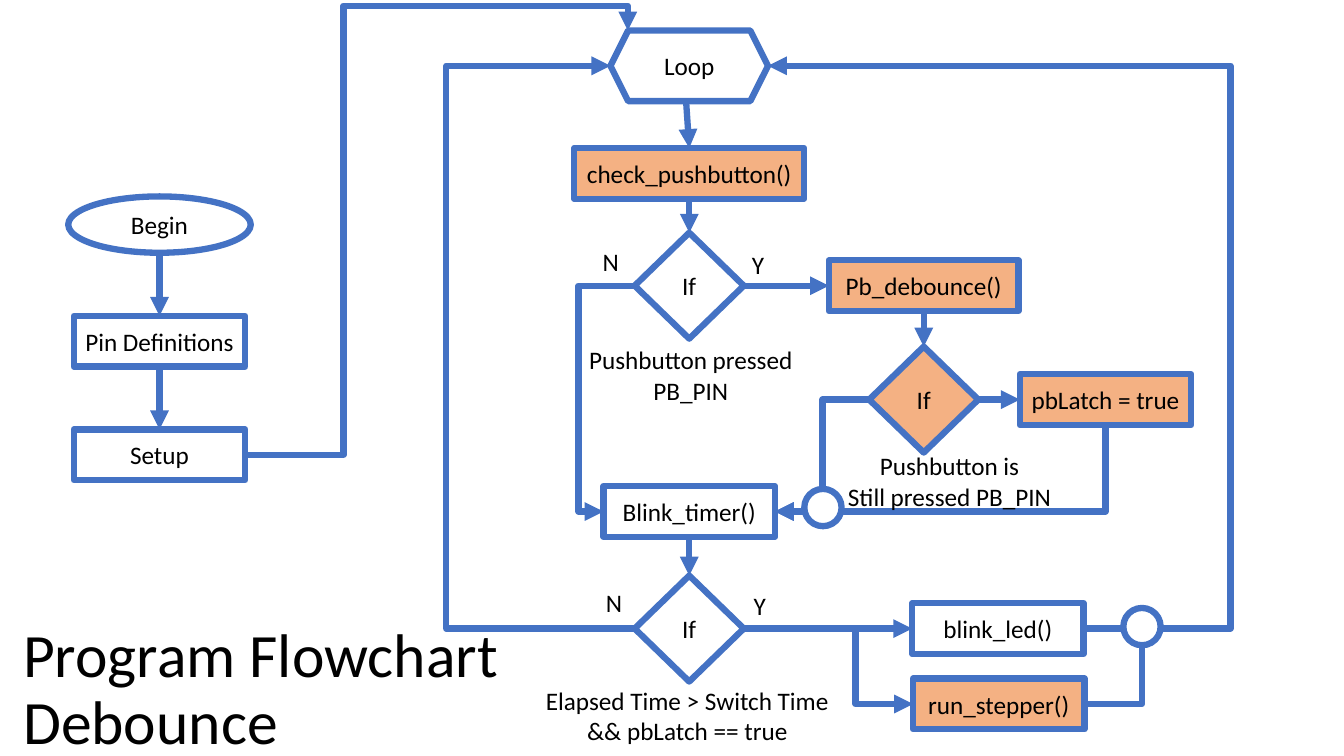
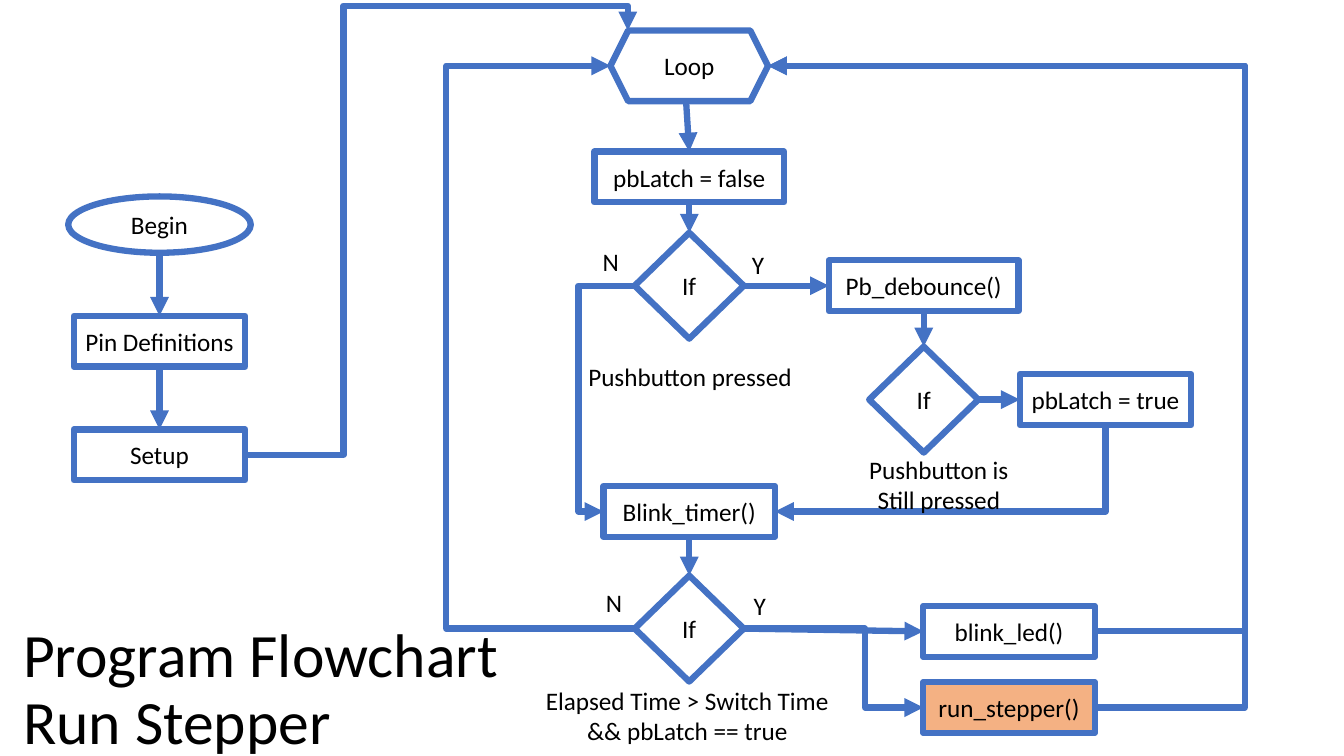
from lxml import etree
from pptx import Presentation
from pptx.dml.color import RGBColor
from pptx.enum.shapes import MSO_CONNECTOR, MSO_SHAPE
from pptx.enum.text import MSO_ANCHOR, MSO_AUTO_SIZE, PP_ALIGN
from pptx.oxml.ns import qn
from pptx.util import Cm, Pt

STRAIGHT, ELBOW = MSO_CONNECTOR.STRAIGHT, MSO_CONNECTOR.ELBOW
LEFT, CENTER = PP_ALIGN.LEFT, PP_ALIGN.CENTER
MIDDLE, TOP = MSO_ANCHOR.MIDDLE, MSO_ANCHOR.TOP
NO_FIT = MSO_AUTO_SIZE.NONE

COLORS = {"line": "4472C4", "plain": "FFFFFF", "new": "F4B183", "text": "000000"}
FONT = "Calibri"
LINE_WIDTH = Pt(4.5)
TITLE_BOX = (0.33, 15.34, 13.21, 4.14)

FOUR_SITES = {"top": (0.5, 0, 0), "left": (0, 0.5, 1),
              "bottom": (0.5, 1, 2), "right": (1, 0.5, 3)}
ROUND_SITES = {"top": (0.5, 0, 0), "left": (0, 0.5, 2),
               "bottom": (0.5, 1, 4), "right": (1, 0.5, 6)}
LOOP_SITES = {"right": (1, 0.5, 0), "left": (0, 0.5, 3),
              "corner": (0.11, 0, 4), "bottom": (0.48, 1, None)}

KINDS = {
    "start": (MSO_SHAPE.OVAL, 4.6, 1.42, ROUND_SITES),
    "loop": (MSO_SHAPE.HEXAGON, 3.97, 1.78, LOOP_SITES),
    "step": (MSO_SHAPE.RECTANGLE, 4.32, 1.28, FOUR_SITES),
    "wide": (MSO_SHAPE.RECTANGLE, 4.78, 1.28, FOUR_SITES),
    "widest": (MSO_SHAPE.RECTANGLE, 5.79, 1.28, FOUR_SITES),
    "decision": (MSO_SHAPE.DIAMOND, 2.75, 2.67, FOUR_SITES),
    "join": (MSO_SHAPE.OVAL, 0.94, 0.94, ROUND_SITES),
}

SETUP_X, MAIN_X, DEBOUNCE_X, LATCH_X = 4.02, 17.37, 23.28, 27.86

SHARED_NODES = {
    "begin": ("start", "Begin", SETUP_X, 5.66),
    "pins": ("step", "Pin Definitions", SETUP_X, 8.6),
    "setup": ("step", "Setup", SETUP_X, 11.46),
    "loop": ("loop", "Loop", MAIN_X, 1.66),
    "pressed": ("decision", "If", MAIN_X, 7.2),
    "debounce": ("wide", "Pb_debounce()", DEBOUNCE_X, 7.2),
    "held": ("decision", "If", DEBOUNCE_X, 10.07),
    "latch": ("step", "pbLatch = true", LATCH_X, 10.07),
    "timer": ("step", "Blink_timer()", MAIN_X, 12.89),
    "elapsed": ("decision", "If", MAIN_X, 15.84),
}

SHARED_LINKS = [
    ("begin", "bottom", "pins", "top", None, "tailEnd"),
    ("pins", "bottom", "setup", "top", None, "tailEnd"),
    ("setup", "right", "loop", "corner", (8.66, 0.15), "tailEnd"),
    ("loop", "bottom", "check", "top", None, "tailEnd"),
    ("check", "bottom", "pressed", "top", None, "tailEnd"),
    ("pressed", "right", "debounce", "left", None, "tailEnd"),
    ("pressed", "left", "timer", "left", (14.58,), "tailEnd"),
    ("debounce", "bottom", "held", "top", None, "tailEnd"),
    ("held", "right", "latch", "left", None, "tailEnd"),
    ("timer", "right", "latch", "bottom", (), "headEnd"),
    ("timer", "bottom", "elapsed", "top", None, "tailEnd"),
    ("elapsed", "left", "loop", "left", (11.25,), "tailEnd"),
    ("elapsed", "right", "led", "left", None, "tailEnd"),
]

SHARED_LABELS = [
    (["N"], 15.39, 6.07, 0.9),
    (["Y"], 19.1, 6.15, 0.9),
    (["N"], 15.47, 14.68, 0.9),
    (["Y"], 19.15, 14.76, 0.9),
    (["Elapsed Time > Switch Time", "&& pbLatch == true"], 17.32, 17.15, 7.72),
]

FLOWCHARTS = [
    {
        "title": ["Program Flowchart", "Debounce"],
        "new": {"check", "debounce", "held", "latch", "stepper"},
        "nodes": {
            "check": ("widest", "check_pushbutton()", MAIN_X, 4.37),
            "led": ("step", "blink_led()", 25.15, 15.84),
            "stepper": ("step", "run_stepper()", 25.17, 17.74),
            "timer join": ("join", "", 20.74, 12.79),
            "led join": ("join", "", 28.78, 15.79),
        },
        "links": [
            ("led", "right", "loop", "right", (31.01,), "tailEnd"),
            ("held", "left", "timer", "right", (20.73,), "tailEnd"),
            ("elapsed", "right", "stepper", "left", (21.56,), "tailEnd"),
            ("stepper", "right", "led join", "bottom", (), None),
        ],
        "labels": [
            (["Pushbutton pressed", "PB_PIN"], 17.41, 8.56, 5.71),
            (["Pushbutton is", "Still pressed PB_PIN"], 23.93, 11.23, 5.7),
        ],
    },
    {
        "title": ["Program Flowchart", "Run Stepper"],
        "new": {"stepper"},
        "nodes": {
            "check": ("wide", "pbLatch = false", MAIN_X, 4.46),
            "led": ("step", "blink_led()", 25.43, 15.91),
            "stepper": ("step", "run_stepper()", 25.43, 17.83),
        },
        "links": [
            ("led", "right", "loop", "right", (31.37,), "tailEnd"),
            ("stepper", "right", "loop", "right", (31.37,), "tailEnd"),
            ("elapsed", "right", "stepper", "left", (21.8,), "tailEnd"),
        ],
        "labels": [
            (["Pushbutton pressed"], 17.39, 8.99, 5.71),
            (["Pushbutton is", "Still pressed"], 23.66, 11.33, 4.09),
        ],
    },
]


def rgb(name):
    return RGBColor.from_string(COLORS[name])


def apply(target, values):
    for name, value in values.items():
        setattr(target, name, value)


def style_line(line):
    line.color.rgb = rgb("line")
    line.width = LINE_WIDTH


def style_paragraph(paragraph, size, **values):
    apply(paragraph, values)
    apply(paragraph.font, {"name": FONT, "size": Pt(size)})
    paragraph.font.color.rgb = rgb("text")


def add_title(slide, lines):
    title = slide.shapes.title
    apply(title, dict(zip(("left", "top", "width", "height"), map(Cm, TITLE_BOX))))
    apply(title.text_frame, {"word_wrap": True, "auto_size": NO_FIT,
                             "vertical_anchor": MIDDLE})
    paragraph = title.text_frame.paragraphs[0]
    for index, line in enumerate(lines):
        if index:
            paragraph.add_line_break()
        paragraph.add_run().text = line
    style_paragraph(paragraph, 44, alignment=LEFT, line_spacing=0.9)


def add_node(slide, node, color):
    kind, text, center_x, center_y = node
    outline, width, height, _ = KINDS[kind]
    shape = slide.shapes.add_shape(
        outline, Cm(center_x - width / 2), Cm(center_y - height / 2),
        Cm(width), Cm(height))
    shape.shadow.inherit = False
    shape.fill.solid()
    shape.fill.fore_color.rgb = rgb(color)
    style_line(shape.line)
    if text:
        frame = shape.text_frame
        apply(frame, {"margin_left": 0, "margin_right": 0, "word_wrap": True,
                      "vertical_anchor": MIDDLE})
        frame.text = text
        style_paragraph(frame.paragraphs[0], 18, alignment=CENTER)
    return shape


def site_of(node, side):
    kind, _, center_x, center_y = node
    _, width, height, sites = KINDS[kind]
    across, down, index = sites[side]
    return center_x + (across - 0.5) * width, center_y + (down - 0.5) * height, index


def bend(geometry, start, end, turns):
    geometry.set("prst", f"bentConnector{len(turns) + 2}")
    guides = geometry.find(qn("a:avLst"))
    for axis, turn in enumerate(turns):
        share = (turn - start[axis]) / (end[axis] - start[axis])
        etree.SubElement(guides, qn("a:gd"), name=f"adj{axis + 1}",
                         fmla=f"val {round(share * 100000)}")


def add_link(slide, nodes, shapes, link):
    source, source_side, target, target_side, turns, arrow = link
    start = site_of(nodes[source], source_side)
    end = site_of(nodes[target], target_side)
    connector = slide.shapes.add_connector(
        STRAIGHT if turns is None else ELBOW, *map(Cm, start[:2] + end[:2]))
    style_line(connector.line)
    element = connector.element
    properties = element.find(qn("p:spPr"))
    if turns is not None:
        bend(properties.find(qn("a:prstGeom")), start, end, turns)
    if arrow:
        etree.SubElement(properties.find(qn("a:ln")), qn(f"a:{arrow}"), type="triangle")
    etree.SubElement(properties, qn("a:effectLst"))
    ties = element.find(".//" + qn("p:cNvCxnSpPr"))
    for tag, name, site in (("stCxn", source, start), ("endCxn", target, end)):
        if site[2] is not None:
            etree.SubElement(ties, qn(f"a:{tag}"), id=str(shapes[name].shape_id),
                             idx=str(site[2]))


def add_label(slide, label):
    lines, center_x, top, width = label
    box = slide.shapes.add_textbox(
        Cm(center_x - width / 2), Cm(top), Cm(width), Cm(0.25 + 0.78 * len(lines)))
    frame = box.text_frame
    apply(frame, {"word_wrap": False, "vertical_anchor": TOP})
    frame.text = "\n".join(lines)
    for paragraph in frame.paragraphs:
        style_paragraph(paragraph, 18, alignment=CENTER)


def add_flowchart(deck, chart):
    slide = deck.slides.add_slide(deck.slide_layouts[5])
    add_title(slide, chart["title"])
    nodes = {**SHARED_NODES, **chart["nodes"]}
    shapes = {name: add_node(slide, node, "new" if name in chart["new"] else "plain")
              for name, node in nodes.items()}
    for link in SHARED_LINKS + chart["links"]:
        add_link(slide, nodes, shapes, link)
    for name, node in nodes.items():
        if node[0] == "join":
            element = shapes[name].element
            element.getparent().append(element)
    for label in SHARED_LABELS + chart["labels"]:
        add_label(slide, label)


def main():
    deck = Presentation()
    apply(deck, {"slide_width": Cm(33.87), "slide_height": Cm(19.05)})
    for chart in FLOWCHARTS:
        add_flowchart(deck, chart)
    deck.save("out.pptx")


if __name__ == "__main__":
    main()
